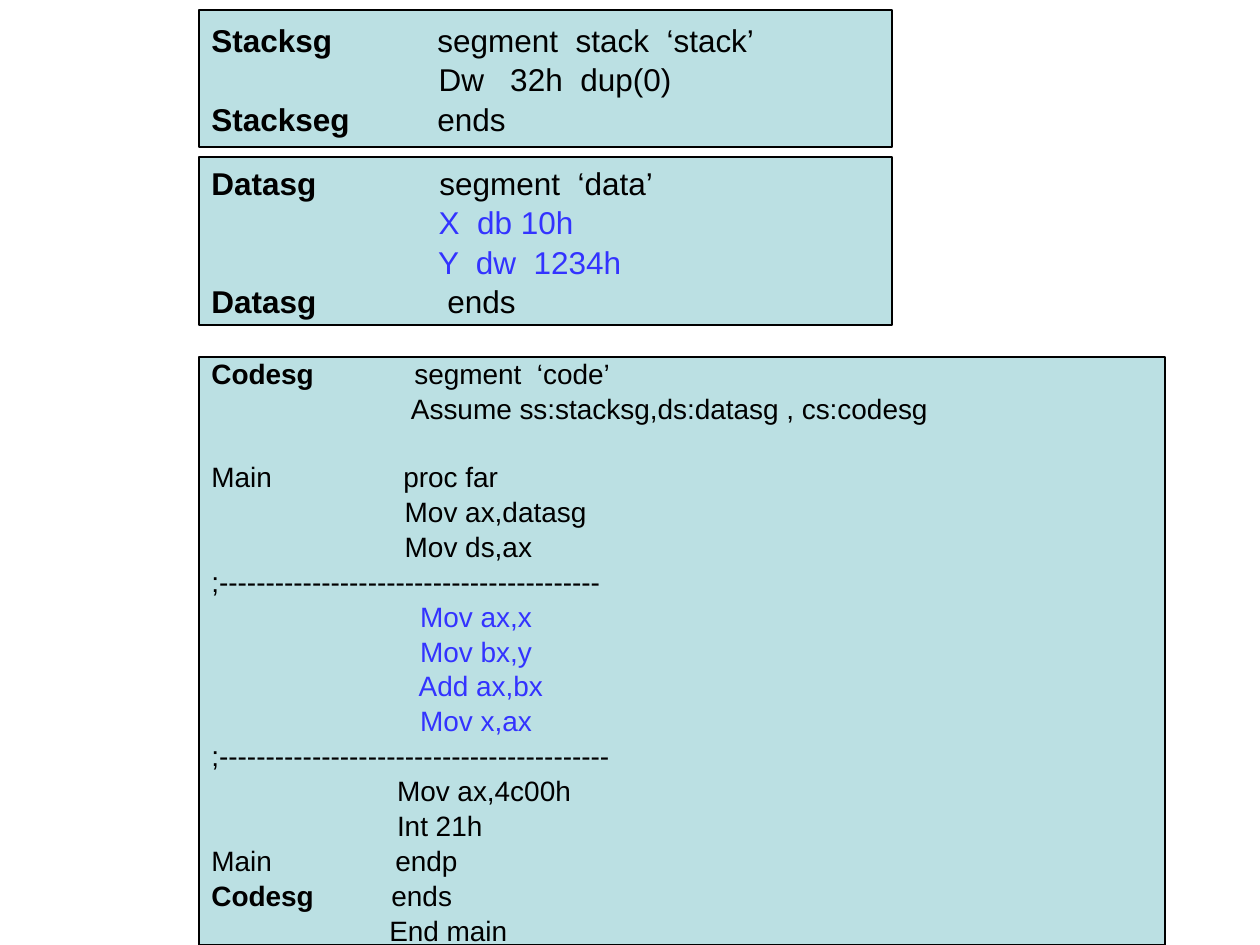
from lxml.etree import SubElement
from pptx import Presentation
from pptx.dml.color import RGBColor
from pptx.enum.shapes import MSO_SHAPE
from pptx.enum.text import MSO_ANCHOR, PP_ALIGN
from pptx.oxml.ns import qn
from pptx.util import Pt

SCALE = 914400 / 126
BLACK = RGBColor(0x00, 0x00, 0x00)
BLUE = RGBColor(0x33, 0x33, 0xFF)
PALE_TEAL = RGBColor(0xBB, 0xE0, 0xE3)

STACK_LINES = [
    ("Stacksg", 226, "segment  stack  ‘stack’"),
    (" " * 26 + "Dw   32h  dup(0)", BLACK),
    ("Stackseg", 226, "ends"),
]
DATA_LINES = [
    ("Datasg", 228, "segment  ‘data’"),
    (" " * 26 + "X  db 10h", BLUE),
    (" " * 26 + "Y  dw  1234h", BLUE),
    ("Datasg", 236, "ends"),
]
CODE_LINES = [
    ("Codesg", 203, "segment  ‘code’"),
    (" " * 26 + "Assume ss:stacksg,ds:datasg , cs:codesg", BLACK),
    ("Main", 192, "proc far"),
    (" " * 25 + "Mov ax,datasg", BLACK),
    (" " * 25 + "Mov ds,ax", BLACK),
    (";" + "-" * 41, BLACK),
    (" " * 27 + "Mov ax,x", BLUE),
    (" " * 27 + "Mov bx,y", BLUE),
    (" " * 27 + "Add ax,bx", BLUE),
    (" " * 27 + "Mov x,ax", BLUE),
    (";" + "-" * 42, BLACK),
    (" " * 24 + "Mov ax,4c00h", BLACK),
    (" " * 24 + "Int 21h", BLACK),
    ("Main", 184, "endp"),
    ("Codesg", 180, "ends"),
    (" " * 23 + "End main", BLACK),
]


def px(value):
    """Turn px into EMU."""
    return round(value * SCALE)


def add_run(paragraph, text, size, color, bold=False):
    """Add one formatted run to a paragraph."""
    run = paragraph.add_run()
    run.text = text
    run.font.name = "Arial"
    run.font.size = Pt(size)
    run.font.bold = bold
    run.font.color.rgb = color


def add_tab_stop(paragraph, position):
    """Give a paragraph one left tab stop."""
    properties = paragraph._p.get_or_add_pPr()
    tab_list = SubElement(properties, qn("a:tabLst"))
    SubElement(tab_list, qn("a:tab"), pos=str(px(position)), algn="l")


def fill_line(paragraph, line, size):
    """Write a labelled or plain line of code."""
    if len(line) == 3:
        label, column, code = line
        add_tab_stop(paragraph, column)
        add_run(paragraph, label, size, BLACK, bold=label != "Main")
        add_run(paragraph, "\t" + code, size, BLACK)
    else:
        code, color = line
        add_run(paragraph, code, size, color)
    paragraph.alignment = PP_ALIGN.LEFT
    paragraph.line_spacing = 1.04


def add_segment(slide, box, lines, size):
    """Draw a segment panel with its code and return its paragraphs."""
    shape = slide.shapes.add_shape(MSO_SHAPE.RECTANGLE, *map(px, box))
    shape.shadow.inherit = False
    shape.fill.solid()
    shape.fill.fore_color.rgb = PALE_TEAL
    shape.line.color.rgb = BLACK
    shape.line.width = Pt(0.75)
    text_frame = shape.text_frame
    text_frame.word_wrap = True
    text_frame.vertical_anchor = MSO_ANCHOR.MIDDLE
    for index, line in enumerate(lines):
        paragraph = text_frame.add_paragraph() if index else text_frame.paragraphs[0]
        fill_line(paragraph, line, size)
    return text_frame.paragraphs


def main():
    """Build and save the assembly program slide."""
    presentation = Presentation()
    presentation.slide_width = px(1260)
    presentation.slide_height = px(945)
    slide = presentation.slides.add_slide(presentation.slide_layouts[6])
    add_segment(slide, (199, 10, 693, 137), STACK_LINES, 18)
    add_segment(slide, (199, 157, 693, 168), DATA_LINES, 18)
    code_paragraphs = add_segment(slide, (199, 357, 966, 588), CODE_LINES, 16)
    code_paragraphs[2].space_before = Pt(19)
    presentation.save("out.pptx")


if __name__ == "__main__":
    main()
